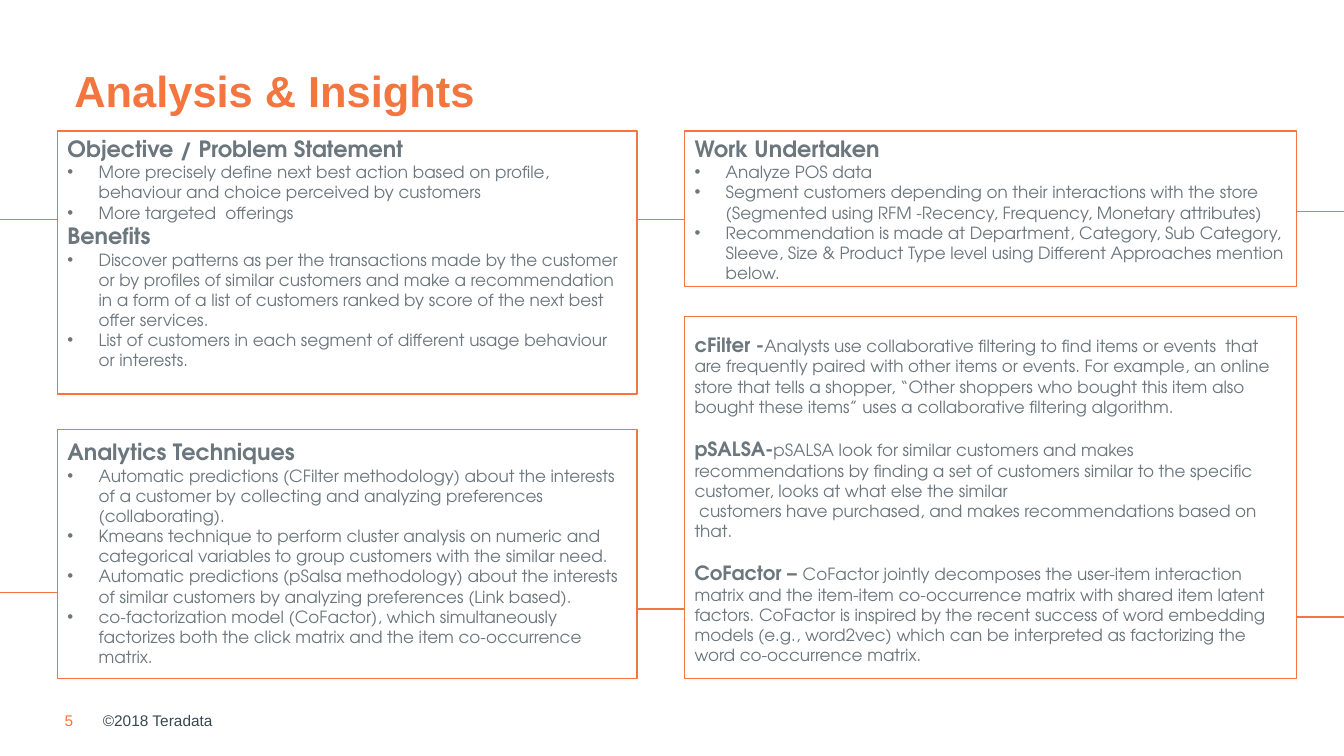
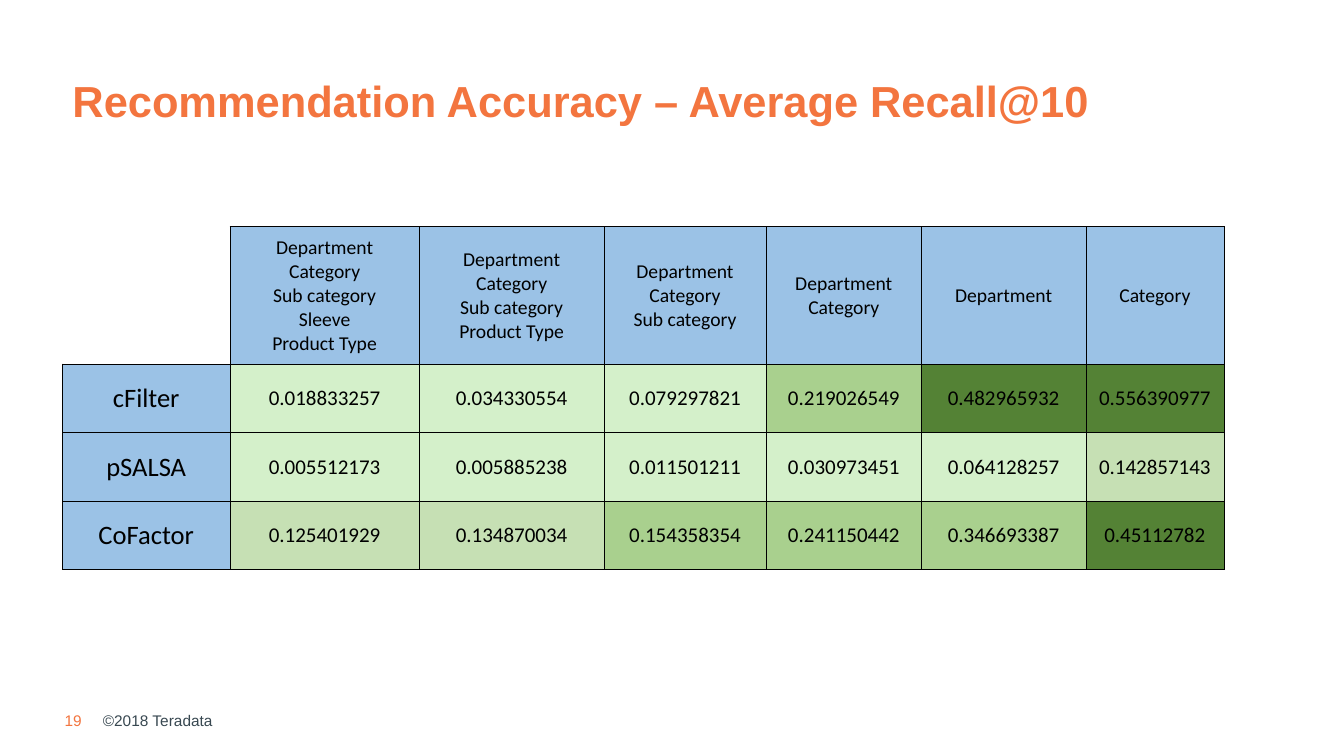
"""Builds two slides: analysis insights in four panels and a recall heat table."""
import pptx
import pptx.dml.color
import pptx.enum.shapes
import pptx.enum.text
import pptx.oxml
import pptx.oxml.ns
import pptx.util

Inches = pptx.util.Inches
Pt = pptx.util.Pt
RGBColor = pptx.dml.color.RGBColor
ANCHOR = pptx.enum.text.MSO_ANCHOR
ALIGN = pptx.enum.text.PP_ALIGN
NAMESPACE = pptx.oxml.ns.nsdecls("a")

ORANGE = RGBColor(0xF3, 0x75, 0x3F)
SLATE = RGBColor(0x38, 0x48, 0x51)
GREY = RGBColor(0x6B, 0x76, 0x7D)
BLACK = RGBColor(0x00, 0x00, 0x00)
BLUE = RGBColor(0x9B, 0xC2, 0xE6)
HEAT = [
    (0.45, RGBColor(0x54, 0x82, 0x35)),
    (0.15, RGBColor(0xA9, 0xD0, 0x8E)),
    (0.10, RGBColor(0xC6, 0xE0, 0xB4)),
    (0.00, RGBColor(0xD4, 0xF0, 0xCA)),
]

TITLE = {"name": "Arial", "size": Pt(31), "bold": True, "color": ORANGE}
NUMBER = {"name": "Arial", "size": Pt(11), "bold": False, "color": ORANGE}
FOOTER = {**NUMBER, "color": SLATE}
HEADING = {"name": "TeX Gyre Adventor", "size": Pt(16), "bold": True, "color": GREY}
TERM = {**HEADING, "size": Pt(14)}
BODY = {**HEADING, "size": Pt(12), "bold": False}
COLUMN_HEAD = {"name": "Calibri", "size": Pt(14), "bold": False, "color": BLACK}
ROW_HEAD = {**COLUMN_HEAD, "size": Pt(19)}
VALUE = {**COLUMN_HEAD, "size": Pt(15)}


def write(frame, paragraphs, anchor, margins, **layout):
    """Fill a frame with paragraphs, each a list of (text, style) spans."""
    frame.word_wrap = True
    frame.vertical_anchor = anchor
    for side, margin in zip(("left", "top", "right", "bottom"), margins):
        setattr(frame, f"margin_{side}", Inches(margin))
    for index, spans in enumerate(paragraphs):
        para = frame.add_paragraph() if index else frame.paragraphs[0]
        for name, value in {"alignment": ALIGN.LEFT, **layout}.items():
            setattr(para, name, value)
        for text, style in spans:
            span = para.add_run()
            span.text = text
            for name, value in style.items():
                if name == "color":
                    span.font.color.rgb = value
                else:
                    setattr(span.font, name, value)


def add_page(number, title, left, top, width):
    """Add a blank page with the shared title and footer."""
    page = deck.slides.add_slide(deck.slide_layouts[6])
    box = page.shapes.add_textbox(Inches(left), Inches(top), Inches(width), Inches(0.78))
    write(box.text_frame, [[(title, TITLE)]], ANCHOR.BOTTOM, (0.1, 0.05, 0.1, 0.05), line_spacing=0.9)
    for text, style, start, span_width in ((number, NUMBER, 0.64, 0.3), ("©2018 Teradata", FOOTER, 1.02, 3)):
        box = page.shapes.add_textbox(Inches(start), Inches(7.05), Inches(span_width), Inches(0.19))
        write(box.text_frame, [[(text, style)]], ANCHOR.MIDDLE, (0, 0, 0, 0))
    return page


deck = pptx.Presentation()
deck.slide_width = Inches(13.33)
deck.slide_height = Inches(7.5)

page = add_page("5", "Analysis & Insights", 0.64, 0.43, 11.5)

OBJECTIVE = [
    [("Objective / Problem Statement", HEADING)],
    [("More precisely define next best action based on profile, behaviour and choice perceived by customers", BODY)],
    [("More targeted  offerings", BODY)],
    [("Benefits", HEADING)],
    [("Discover patterns as per the transactions made by the customer or by profiles of similar customers and make "
      "a recommendation in a form of a list of customers ranked by score of the next best offer services.", BODY)],
    [("List of customers in each segment of different usage behaviour or interests.", BODY)],
]
WORK = [
    [("Work Undertaken", HEADING)],
    [("Analyze POS data", BODY)],
    [("Segment customers depending on their interactions with the store "
      "(Segmented using RFM -Recency, Frequency, Monetary attributes)", BODY)],
    [("Recommendation is made at Department, Category, Sub Category, Sleeve, Size & Product Type level "
      "using Different Approaches mention below.", BODY)],
]
TECHNIQUES = [
    [("Analytics Techniques", HEADING)],
    [("Automatic predictions (CFilter methodology) about the interests of a customer by collecting "
      "and analyzing preferences (collaborating).", BODY)],
    [("Kmeans technique to perform cluster analysis on numeric and categorical variables "
      "to group customers with the similar need.", BODY)],
    [("Automatic predictions (pSalsa methodology) about the interests of similar customers "
      "by analyzing preferences (Link based).", BODY)],
    [("co-factorization model (CoFactor), which simultaneously factorizes both the click matrix "
      "and the item co-occurrence matrix.", BODY)],
]
APPROACHES = [
    [("cFilter -", TERM),
     ("Analysts use collaborative filtering to find items or events  that are frequently paired with other items "
      "or events. For example, an online store that tells a shopper, “Other shoppers who bought this item also "
      "bought these items” uses a collaborative filtering algorithm.", BODY)],
    [("pSALSA-", TERM),
     ("pSALSA look for similar customers and makes recommendations by finding a set of customers similar "
      "to the specific customer, looks at what else the similar", BODY)],
    [(" customers have purchased, and makes recommendations based on that.", BODY)],
    [("CoFactor – ", TERM),
     ("CoFactor jointly decomposes the user-item interaction matrix and the item-item co-occurrence matrix with "
      "shared item latent factors. CoFactor is inspired by the recent success of word embedding models "
      "(e.g., word2vec) which can be interpreted as factorizing the word co-occurrence matrix.", BODY)],
]
PANELS = [
    (OBJECTIVE, 0.57, 1.3, 5.75, 2.61, 0.04),
    (WORK, 6.79, 1.3, 6.07, 1.54, 0.04),
    (TECHNIQUES, 0.57, 4.26, 5.75, 2.47, 0.09),
    (APPROACHES, 6.79, 3.14, 6.07, 3.59, 0.16),
]
for paragraphs, left, top, width, height, inset in PANELS:
    panel = page.shapes.add_shape(pptx.enum.shapes.MSO_SHAPE.RECTANGLE,
                                  Inches(left), Inches(top), Inches(width), Inches(height))
    panel.shadow.inherit = False
    panel.fill.background()
    panel.line.color.rgb = ORANGE
    panel.line.width = Pt(1)
    write(panel.text_frame, paragraphs, ANCHOR.TOP, (0.1, inset, 0.1, 0))
    for index, (para, spans) in enumerate(zip(panel.text_frame.paragraphs, paragraphs)):
        first_style = spans[0][1]
        if first_style is TERM and index:
            para.space_before = Pt(14.4)
        elif first_style is BODY and paragraphs is not APPROACHES:
            properties = para._p.get_or_add_pPr()
            properties.set("marL", str(Inches(0.31)))
            properties.set("indent", str(-Inches(0.31)))
            properties.append(pptx.oxml.parse_xml(f'<a:buFont {NAMESPACE} typeface="Arial"/>'))
            properties.append(pptx.oxml.parse_xml(f'<a:buChar {NAMESPACE} char="•"/>'))

LINKS = [(0, 0.57, 2.18), (6.32, 6.79, 2.18), (12.86, 13.33, 2.1),
         (0, 0.57, 5.88), (6.32, 6.79, 6.04), (12.86, 13.33, 6.12)]
for start, end, height in LINKS:
    link = page.shapes.add_connector(pptx.enum.shapes.MSO_CONNECTOR.STRAIGHT,
                                     Inches(start), Inches(height), Inches(end), Inches(height))
    link.line.color.rgb = ORANGE
    link.line.width = Pt(1)
    link._element.spPr.append(pptx.oxml.parse_xml(f"<a:effectLst {NAMESPACE}/>"))

page = add_page("19", "Recommendation Accuracy – Average Recall@10", 0.62, 0.53, 12.51)

ROWS = [
    ["",
     "Department\nCategory\nSub category\nSleeve\nProduct Type",
     "Department\nCategory\nSub category\nProduct Type",
     "Department\nCategory\nSub category",
     "Department\nCategory",
     "Department",
     "Category"],
    ["cFilter", "0.018833257", "0.034330554", "0.079297821", "0.219026549", "0.482965932", "0.556390977"],
    ["pSALSA", "0.005512173", "0.005885238", "0.011501211", "0.030973451", "0.064128257", "0.142857143"],
    ["CoFactor", "0.125401929", "0.134870034", "0.154358354", "0.241150442", "0.346693387", "0.45112782"],
]
COLUMN_WIDTHS = [1.66, 1.88, 1.83, 1.61, 1.54, 1.63, 1.37]
ROW_HEIGHTS = [1.36, 0.68, 0.68, 0.68]

table = page.shapes.add_table(len(ROWS), len(COLUMN_WIDTHS), Inches(0.62), Inches(2.25),
                              Inches(sum(COLUMN_WIDTHS)), Inches(sum(ROW_HEIGHTS))).table
table.first_row = False
table.horz_banding = False
for column, width in zip(table.columns, COLUMN_WIDTHS):
    column.width = Inches(width)
for row, height in zip(table.rows, ROW_HEIGHTS):
    row.height = Inches(height)

for row_index, row in enumerate(ROWS):
    for column_index, text in enumerate(row):
        cell = table.cell(row_index, column_index)
        properties = cell._tc.get_or_add_tcPr()
        for side in ("L", "R", "T", "B"):
            paint = f'<a:solidFill><a:srgbClr val="{BLACK}"/></a:solidFill>'
            if not text and side in ("L", "T"):
                paint = "<a:noFill/>"
            properties.append(pptx.oxml.parse_xml(f'<a:ln{side} {NAMESPACE} w="{Pt(0.5)}">{paint}</a:ln{side}>'))
        if not text:
            cell.fill.background()
            continue
        cell.fill.solid()
        if row_index == 0:
            style, color = COLUMN_HEAD, BLUE
        elif column_index == 0:
            style, color = ROW_HEAD, BLUE
        else:
            style = VALUE
            color = next(shade for limit, shade in HEAT if float(text) >= limit)
        cell.fill.fore_color.rgb = color
        lines = [[(line, style)] for line in text.split("\n")]
        write(cell.text_frame, lines, ANCHOR.MIDDLE, (0.01, 0.01, 0.01, 0), alignment=ALIGN.CENTER)
        cell.vertical_anchor = ANCHOR.MIDDLE
        for side, margin in {"left": 0.01, "top": 0.01, "right": 0.01, "bottom": 0}.items():
            setattr(cell, f"margin_{side}", Inches(margin))

deck.save("out.pptx")
